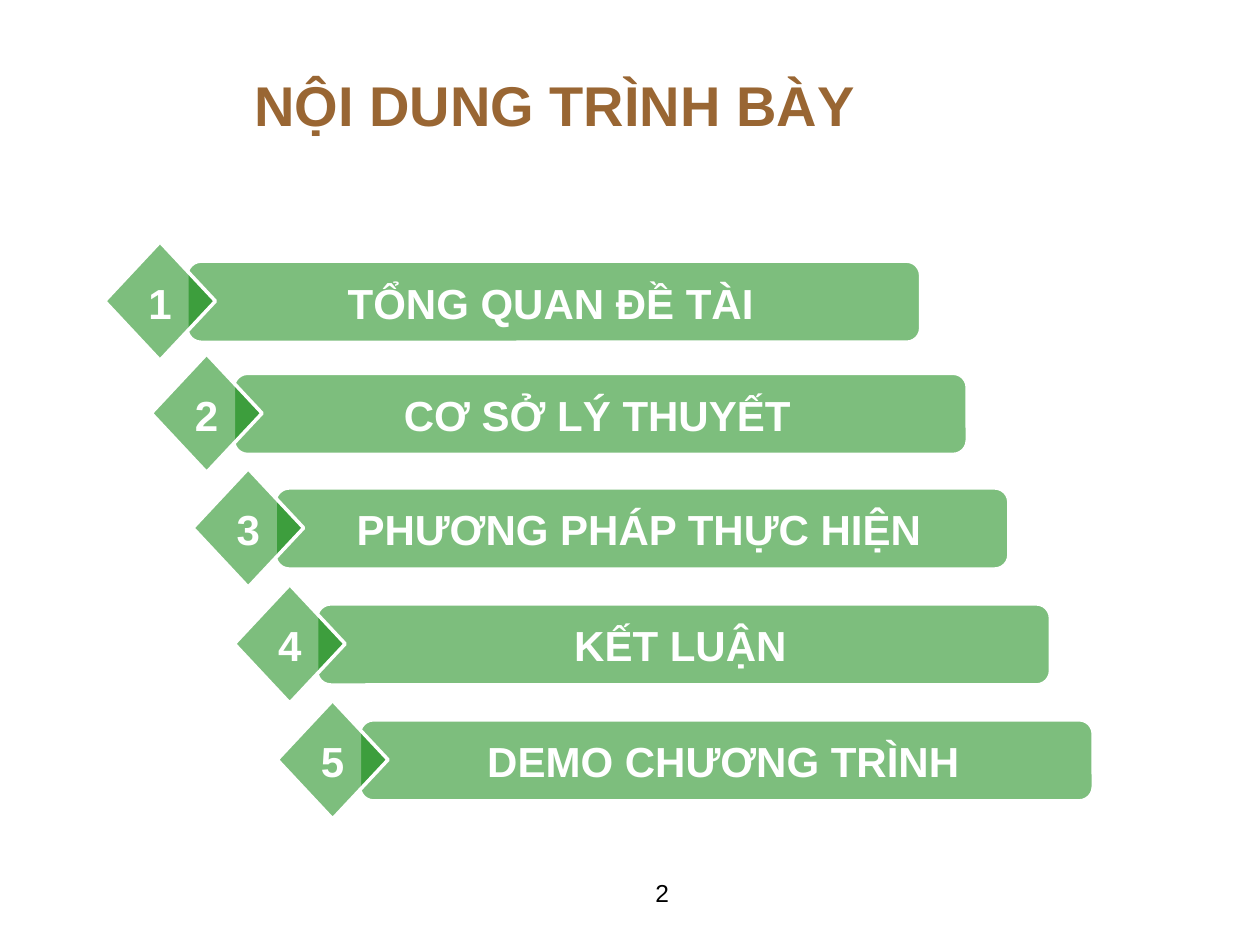
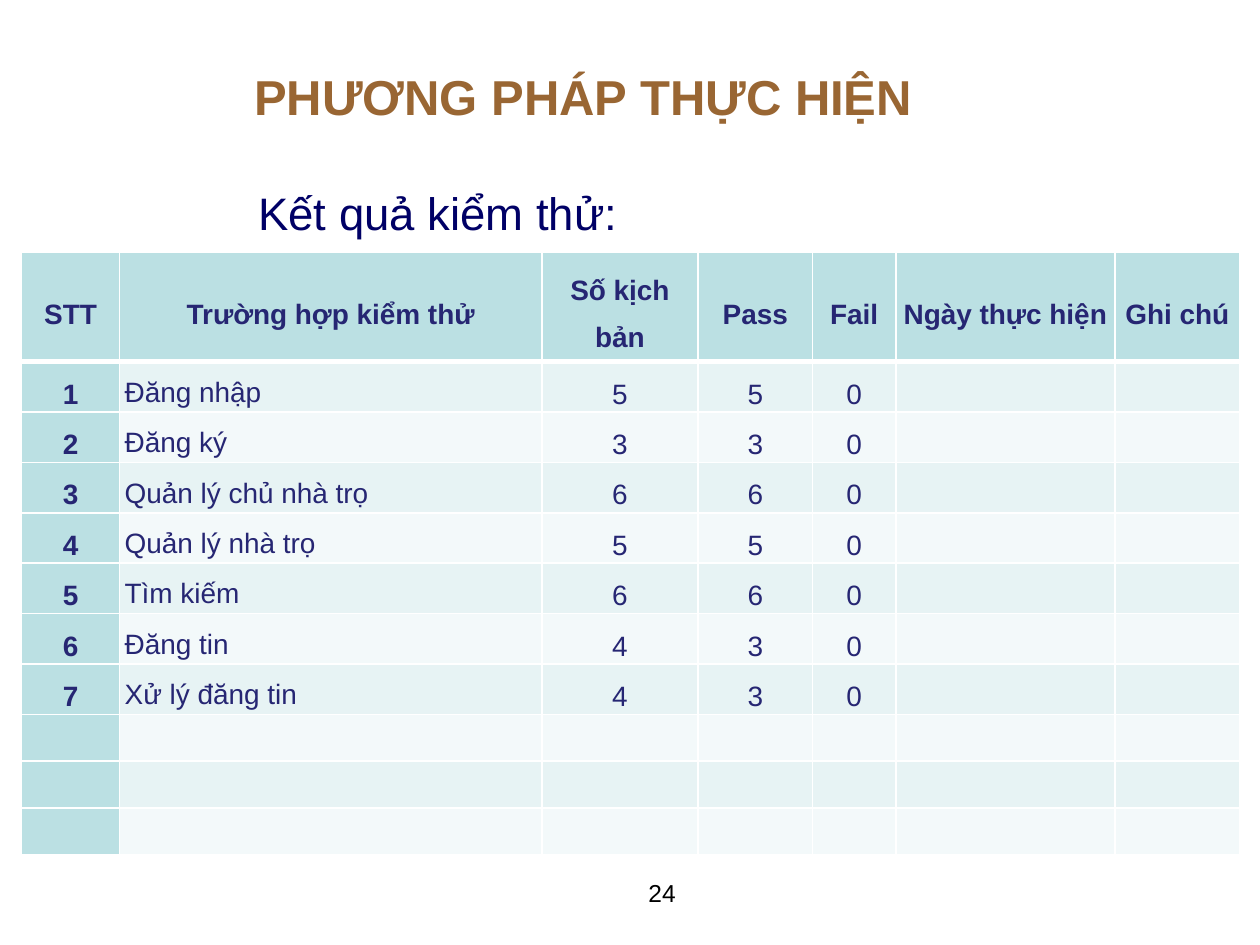
import pptx
import pptx.util
import pptx.dml.color
import pptx.enum.shapes
import pptx.enum.text
import pptx.oxml
import pptx.oxml.ns

COLORS = {
    "title": "996633", "subtitle": "000066", "number": "000000", "white": "FFFFFF",
    "agenda": "008000", "table_text": "262673", "table_head": "BBE0E3",
    "odd_row": "E7F3F4", "even_row": "F3F9FA",
}
FONT = "Arial"
AGENDA = [
    ("TỔNG QUAN ĐỀ TÀI", 0.83, 1.92),
    ("CƠ SỞ LÝ THUYẾT", 1.2, 2.81),
    ("PHƯƠNG PHÁP THỰC HIỆN", 1.53, 3.72),
    ("KẾT LUẬN", 1.86, 4.64),
    ("DEMO CHƯƠNG TRÌNH", 2.2, 5.56),
]
HEADINGS = ["STT", "Trường hợp kiểm thử", "Số kịch bản", "Pass", "Fail",
            "Ngày thực hiện", "Ghi chú"]
COLUMN_WIDTHS = [0.78, 3.35, 1.24, 0.91, 0.66, 1.74, 0.99]
TESTS = [
    ("Đăng nhập", 5, 5, 0),
    ("Đăng ký", 3, 3, 0),
    ("Quản lý chủ nhà trọ", 6, 6, 0),
    ("Quản lý nhà trọ", 5, 5, 0),
    ("Tìm kiếm", 6, 6, 0),
    ("Đăng tin", 4, 3, 0),
    ("Xử lý đăng tin", 4, 3, 0),
]
EMPTY_ROWS = 3
HEAD_HEIGHT, ROW_HEIGHT = 0.87, 0.371

Inches, Pt = pptx.util.Inches, pptx.util.Pt
LEFT, CENTER = pptx.enum.text.PP_ALIGN.LEFT, pptx.enum.text.PP_ALIGN.CENTER
TOP, MIDDLE = pptx.enum.text.MSO_ANCHOR.TOP, pptx.enum.text.MSO_ANCHOR.MIDDLE
SHAPES = pptx.enum.shapes.MSO_SHAPE


def rgb(value):
    return pptx.dml.color.RGBColor.from_string(value)


def inches(*lengths):
    return [Inches(length) for length in lengths]


def write(para, text, size, color, bold=False, align=LEFT):
    para.alignment = align
    span = para.add_run()
    span.text = text
    span.font.name = FONT
    span.font.size = Pt(size)
    span.font.bold = bold
    span.font.color.rgb = rgb(color)


def add_text(shapes, area, text, size, color, bold=False, align=LEFT, anchor=TOP):
    box = shapes.add_textbox(*inches(*area))
    box.text_frame.word_wrap = True
    box.text_frame.vertical_anchor = anchor
    write(box.text_frame.paragraphs[0], text, size, color, bold, align)
    return box


def add_page(deck, title, size, top, height, number):
    page = deck.slides.add_slide(deck.slide_layouts[6])
    add_text(page.shapes, (1.92, top, 7.75, height), title, size,
             COLORS["title"], True, anchor=MIDDLE)
    add_text(page.shapes, (4.92, 6.92, 0.67, 0.61), str(number), 14,
             COLORS["number"], align=CENTER)
    return page


def add_green(shapes, kind, area, line_width):
    shape = shapes.add_shape(kind, *inches(*area))
    shape.shadow.inherit = False
    shape.fill.solid()
    shape.fill.fore_color.rgb = rgb(COLORS["agenda"])
    fill_color = shape.fill._xPr.find(".//" + pptx.oxml.ns.qn("a:srgbClr"))
    alpha = pptx.oxml.parse_xml(
        f'<a:alpha {pptx.oxml.ns.nsdecls("a")} val="51000"/>')
    fill_color.append(alpha)
    shape.line.color.rgb = rgb(COLORS["white"])
    shape.line.width = Pt(line_width)
    return shape


def add_agenda_item(page, number, text, left, top):
    shapes = page.shapes.add_group_shape().shapes
    bar = add_green(shapes, SHAPES.ROUNDED_RECTANGLE,
                    (left + 0.66, top + 0.16, 5.81, 0.63), 1)
    bar.adjustments[0] = 0.167
    add_green(shapes, SHAPES.DIAMOND, (left, top, 0.88, 0.94), 2)
    for label, offset, width in ((text, 0.95, 5.18), (str(number), 0.23, 0.42)):
        add_text(shapes, (left + offset, top + 0.23, width, 0.5), label, 24,
                 COLORS["white"], True, CENTER)


def set_borders(cell, top, bottom):
    properties = cell._tc.get_or_add_tcPr()
    sides = (("lnL", 1), ("lnR", 1), ("lnT", top), ("lnB", bottom))
    for position, (side, width) in enumerate(sides):
        properties.insert(position, pptx.oxml.parse_xml(
            f'<a:{side} {pptx.oxml.ns.nsdecls("a")} w="{Pt(width)}"><a:solidFill>'
            f'<a:srgbClr val="{COLORS["white"]}"/></a:solidFill></a:{side}>'))


def fill_cell(cell, text, row, column):
    header = row == 0 or column == 0
    name_cell = row > 0 and column == 1
    cell.margin_left = cell.margin_right = Inches(0.04)
    cell.margin_top = cell.margin_bottom = 0
    cell.vertical_anchor = TOP if name_cell else MIDDLE
    cell.fill.solid()
    stripe = "odd_row" if row % 2 else "even_row"
    cell.fill.fore_color.rgb = rgb(COLORS["table_head" if header else stripe])
    set_borders(cell, 3 if row == 1 else 1, 3 if row == 0 else 1)
    if text:
        para = cell.text_frame.paragraphs[0]
        para.line_spacing = 1.5
        para.space_before = para.space_after = Pt(6)
        write(para, text, 16, COLORS["table_text"], header,
              LEFT if name_cell else CENTER)


def add_test_table(page):
    rows = [HEADINGS]
    rows += [[number, *test] for number, test in enumerate(TESTS, 1)]
    rows += [[] for _ in range(EMPTY_ROWS)]
    heights = [HEAD_HEIGHT] + [ROW_HEIGHT] * (len(rows) - 1)
    frame = page.shapes.add_table(
        len(rows), len(HEADINGS),
        *inches(0.17, 2, sum(COLUMN_WIDTHS), sum(heights)))
    table = frame.table
    for column, width in zip(table.columns, COLUMN_WIDTHS):
        column.width = Inches(width)
    for row, (values, height) in enumerate(zip(rows, heights)):
        table.rows[row].height = Inches(height)
        for column in range(len(HEADINGS)):
            text = str(values[column]) if column < len(values) else ""
            fill_cell(table.cell(row, column), text, row, column)


deck = pptx.Presentation()
deck.slide_width, deck.slide_height = inches(10, 7.5)

agenda_page = add_page(deck, "NỘI DUNG TRÌNH BÀY", 32, 0.31, 1.03, 2)
for number, item in enumerate(AGENDA, 1):
    add_agenda_item(agenda_page, number, *item)

test_page = add_page(deck, "PHƯƠNG PHÁP THỰC HIỆN", 28, 0.17, 1.18, 24)
subtitle = add_text(test_page.shapes, (0.45, 1.42, 9.33, 5.31),
                    "Kết quả kiểm thử:", 26, COLORS["subtitle"])
subtitle.text_frame.margin_left = Inches(1.6)
subtitle.text_frame.paragraphs[0].space_before = Pt(3)
add_test_table(test_page)

deck.save("out.pptx")
